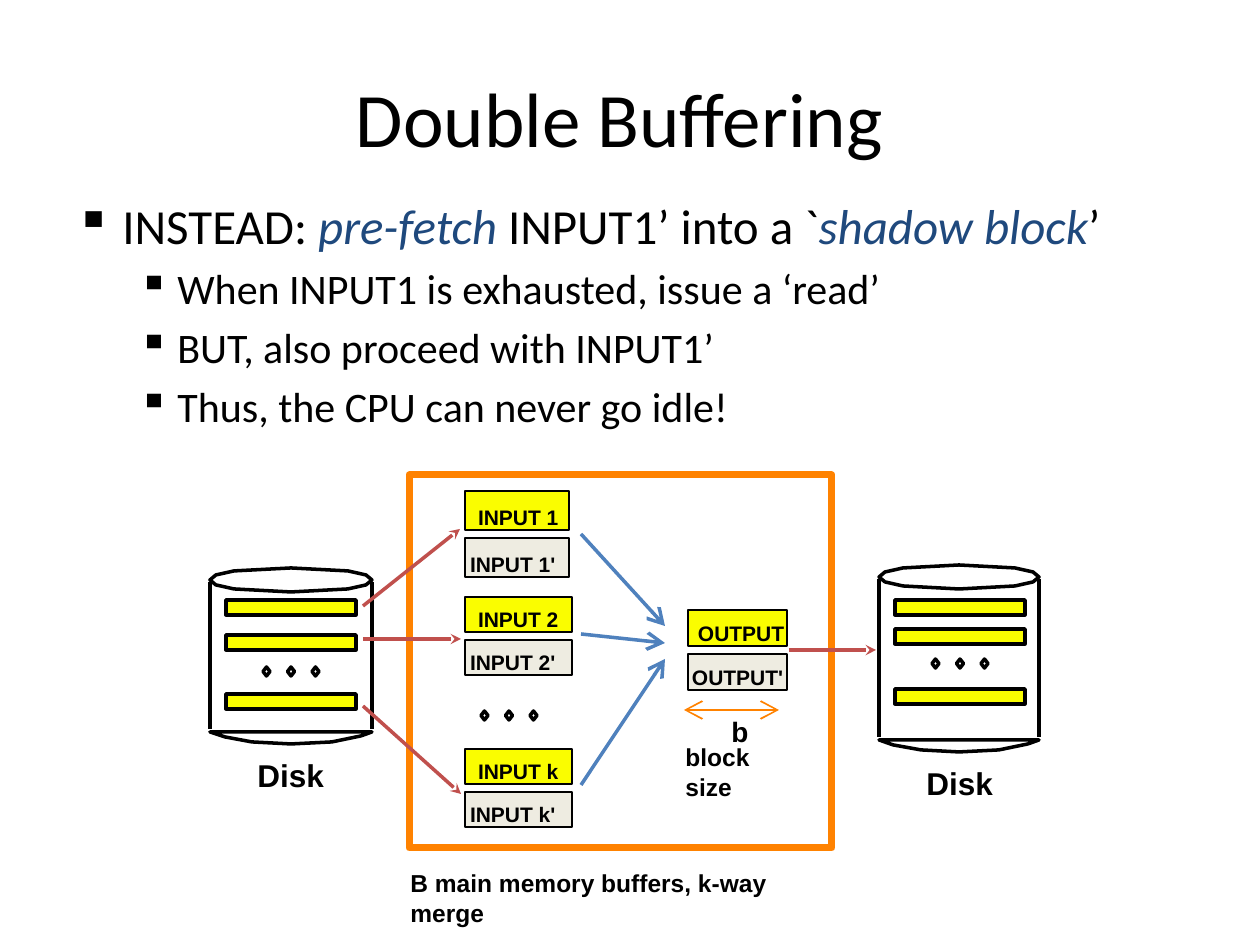
from lxml.etree import SubElement
from pptx import Presentation
from pptx.dml.color import RGBColor
from pptx.enum.shapes import MSO_CONNECTOR, MSO_SHAPE
from pptx.enum.text import MSO_ANCHOR, PP_ALIGN
from pptx.oxml.ns import qn
from pptx.util import Emu, Pt

EMU_PER_PX = 914400 / 126
COLORS = {
    "ink": "000000",
    "emphasis": "1F497D",
    "active": "FAFD00",
    "shadow": "EEECE1",
    "memory": "FF8200",
    "merge": "4F81BD",
    "transfer": "C0504D",
}
LID = [(1, .5), (.96, .28), (.85, .12), (.5, 0), (.15, .12), (.04, .28),
       (0, .5), (.04, .72), (.15, .88), (.5, 1), (.85, .88), (.96, .72)]
BASE = [(0, 0), (.09, .4), (.26, .85), (.5, 1), (.75, .8), (.93, .35), (1, 0)]


def px(length):
    return Emu(round(length * EMU_PER_PX))


def rgb(name):
    return RGBColor.from_string(COLORS[name])


def style(shape, fill, line, weight):
    shape.shadow.inherit = False
    if fill:
        shape.fill.solid()
        shape.fill.fore_color.rgb = rgb(fill)
    else:
        shape.fill.background()
    shape.line.color.rgb = rgb(line)
    shape.line.width = Pt(weight)


def set_font(font, size, name="Arial", bold=True):
    font.size, font.name, font.bold = Pt(size), name, bold
    font.color.rgb = rgb("ink")


def add_block(slide, kind, box, fill=None, line="ink", weight=2):
    block = slide.shapes.add_shape(kind, *map(px, box))
    style(block, fill, line, weight)
    return block


def add_outline(slide, box, fractions):
    """Draw a closed outline whose points are fractions of the box."""
    left, top, width, height = box
    points = [(left + x * width, top + y * height) for x, y in fractions]
    builder = slide.shapes.build_freeform(*points[0], scale=EMU_PER_PX)
    builder.add_line_segments(points[1:], close=True)
    style(builder.convert_to_shape(), None, "ink", 2)


def add_line(slide, start, end, color="ink", weight=2, **heads):
    """Draw a line; heads maps headEnd or tailEnd to (type, size)."""
    line = slide.shapes.add_connector(
        MSO_CONNECTOR.STRAIGHT, *map(px, (*start, *end)))
    line.line.color.rgb = rgb(color)
    line.line.width = Pt(weight)
    properties = line._element.spPr
    for tag, (kind, size) in heads.items():
        SubElement(line.line._get_or_add_ln(), qn(f"a:{tag}"),
                   type=kind, w=size, len=size)
    SubElement(properties, qn("a:effectLst"))


def add_label(slide, box, text, size, wrap=False):
    label = slide.shapes.add_textbox(*map(px, box))
    label.text_frame.word_wrap = wrap
    paragraph = label.text_frame.paragraphs[0]
    paragraph.text = text
    set_font(paragraph.font, size)


def add_ellipsis(slide, left, top):
    for index in range(3):
        add_block(slide, MSO_SHAPE.DIAMOND, (left + index * 24.5, top, 7, 9))


def add_title(slide, box):
    title = slide.shapes.title
    title.left, title.top, title.width, title.height = map(px, box)
    title.text_frame.vertical_anchor = MSO_ANCHOR.MIDDLE
    paragraph = title.text_frame.paragraphs[0]
    paragraph.text = "Double Buffering"
    paragraph.alignment = PP_ALIGN.CENTER
    set_font(paragraph.font, 44, "Calibri", False)


def add_bullets(slide, box):
    points = [
        (0, [("INSTEAD: ", False), ("pre-fetch", True),
             (" INPUT1’ into a `", False), ("shadow block", True),
             ("’", False)]),
        (1, [("When INPUT1 is exhausted, issue a ‘read’", False)]),
        (1, [("BUT, also proceed with INPUT1’", False)]),
        (1, [("Thus, the CPU can never go idle!", False)]),
    ]
    level_formats = [(28, 47, -47), (24, 102, -39)]
    frame = slide.shapes.add_textbox(*map(px, box)).text_frame
    frame.word_wrap = True
    for index, (level, runs) in enumerate(points):
        paragraph = frame.add_paragraph() if index else frame.paragraphs[0]
        size, margin, indent = level_formats[level]
        paragraph.level = level
        paragraph.space_before = Pt(size * 0.2)
        set_font(paragraph.font, size, "Calibri", False)
        properties = paragraph._p.get_or_add_pPr()
        properties.set("marL", str(px(margin)))
        properties.set("indent", str(px(indent)))
        bullet = properties.makeelement(qn("a:buChar"), {"char": "▪"})
        properties.find(qn("a:defRPr")).addprevious(bullet)
        for text, emphasized in runs:
            run = paragraph.add_run()
            run.text = text
            if emphasized:
                run.font.italic = True
                run.font.color.rgb = rgb("emphasis")


def add_disk(slide, box, bar_tops, dots_top):
    left, top, width, height = box
    add_outline(slide, (left, top, width, 24), LID)
    add_outline(slide, (left, top + height - 12, width, 12), BASE)
    for side in (left, left + width):
        add_line(slide, (side, top + 14), (side, top + height - 15))
    for bar_top in bar_tops:
        add_block(slide, MSO_SHAPE.RECTANGLE,
                  (left + 16, top + bar_top, 130, 15), "active")
    add_ellipsis(slide, left + 53, top + dots_top)
    add_label(slide, (left + 35, top + height + 6, 92, 50), "Disk", 18)


def add_buffer_pair(slide, box, name, insets=(13, 5)):
    """Stack a buffer and its shadow block, eight px apart."""
    left, top, width, height = box
    rows = zip((name, name + "'"), ("active", "shadow"), insets)
    for row, (text, fill, inset) in enumerate(rows):
        buffer = add_block(
            slide, MSO_SHAPE.RECTANGLE,
            (left, top + row * (height + 8), width, height), fill, weight=1)
        frame = buffer.text_frame
        frame.word_wrap = True
        frame.vertical_anchor = MSO_ANCHOR.BOTTOM
        frame.margin_left = px(inset)
        frame.margin_top = frame.margin_right = frame.margin_bottom = 0
        paragraph = frame.paragraphs[0]
        paragraph.text = text
        paragraph.alignment = PP_ALIGN.LEFT
        set_font(paragraph.font, 12)


def add_memory(slide, box):
    left, top, width, height = box
    add_block(slide, MSO_SHAPE.RECTANGLE, box, line="memory", weight=4)
    inputs = [("INPUT 1", 16, 104, 39), ("INPUT 2", 122, 107, 35),
              ("INPUT k", 274, 107, 35)]
    for name, offset, buffer_width, buffer_height in inputs:
        add_buffer_pair(
            slide, (left + 56, top + offset, buffer_width, buffer_height), name)
    add_ellipsis(slide, left + 72, top + 236)
    add_buffer_pair(slide, (left + 279, top + 135, 99, 36), "OUTPUT", (10, 4))
    for start, end in ((59, 151), (159, 168), (310, 184)):
        add_line(slide, (left + 172, top + start), (left + 256, top + end),
                 "merge", tailEnd=("arrow", "lg"))
    add_line(slide, (left + 275, top + 235), (left + 370, top + 235),
             "memory", 1, headEnd=("arrow", "lg"), tailEnd=("arrow", "lg"))
    add_label(slide, (left + 264, top + 261, 142, 42), "block size", 14, True)
    add_label(slide, (left + 310, top + 233, 42, 45), "b", 16)
    add_label(slide, (left - 11, top + height + 14, 461, 42),
              "B main memory buffers, k-way merge", 14, True)


def add_transfers(slide):
    transfers = [((363, 606), (460, 529)), ((363, 639), (461, 639)),
                 ((363, 706), (461, 794)), ((789, 650), (876, 650))]
    for start, end in transfers:
        add_line(slide, start, end, "transfer", tailEnd=("stealth", "med"))


def main():
    deck = Presentation()
    deck.slide_width, deck.slide_height = px(1260), px(945)
    slide = deck.slides.add_slide(deck.slide_layouts[5])
    add_title(slide, (0, 38, 1239, 157))
    add_bullets(slide, (63, 189, 1144, 260))
    add_disk(slide, (210, 568, 162, 176), (32, 67, 126), 99)
    add_disk(slide, (879, 565, 160, 187), (35, 64, 124), 94)
    add_memory(slide, (409, 475, 423, 373))
    add_transfers(slide)
    deck.save("out.pptx")


if __name__ == "__main__":
    main()
